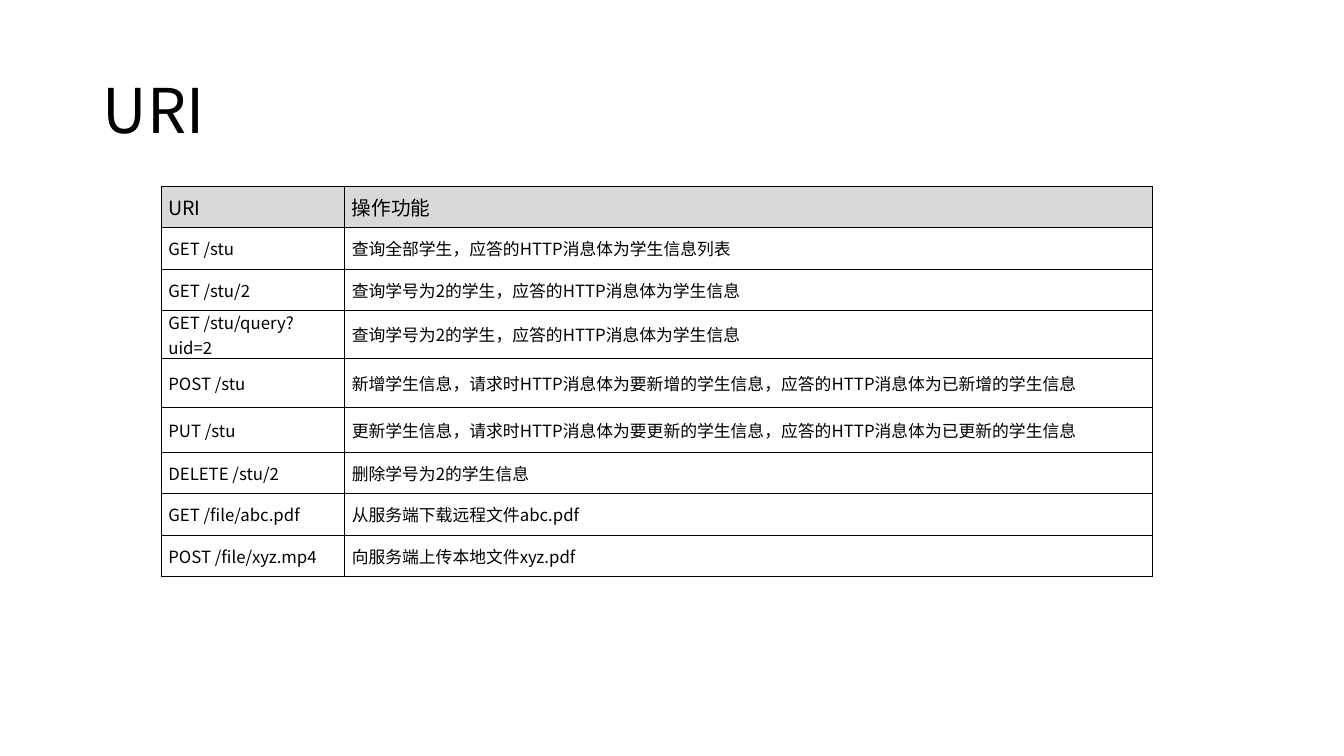
import pptx
import pptx.dml.color
import pptx.enum.text
import pptx.oxml
import pptx.oxml.ns
import pptx.util

Inches = pptx.util.Inches
FONT = "Noto Sans CJK SC"
BLACK = "000000"
HEADER_GRAY = "D9D9D9"
MIDDLE = pptx.enum.text.MSO_ANCHOR.MIDDLE
COLUMN_WIDTHS = [1.82, 8.01]
ROW_HEIGHTS = [0.41, 0.41, 0.41, 0.48, 0.48, 0.45, 0.41, 0.41, 0.41]
OPERATIONS = [
    ("URI", "操作功能"),
    ("GET /stu", "查询全部学生，应答的HTTP消息体为学生信息列表"),
    ("GET /stu/2", "查询学号为2的学生，应答的HTTP消息体为学生信息"),
    ("GET /stu/query?uid=2", "查询学号为2的学生，应答的HTTP消息体为学生信息"),
    ("POST /stu", "新增学生信息，请求时HTTP消息体为要新增的学生信息，应答的HTTP消息体为已新增的学生信息"),
    ("PUT /stu", "更新学生信息，请求时HTTP消息体为要更新的学生信息，应答的HTTP消息体为已更新的学生信息"),
    ("DELETE /stu/2", "删除学号为2的学生信息"),
    ("GET /file/abc.pdf", "从服务端下载远程文件abc.pdf"),
    ("POST /file/xyz.mp4", "向服务端上传本地文件xyz.pdf"),
]
CELL_FORMAT = {
    "margin_left": Inches(0.07),
    "margin_right": Inches(0.07),
    "margin_top": 0,
    "margin_bottom": 0,
    "vertical_anchor": MIDDLE,
}


def color(value):
    return pptx.dml.color.RGBColor.from_string(value)


def apply_format(target, values):
    for name, value in values.items():
        setattr(target, name, value)


def write_text(paragraph, wording, size):
    run = paragraph.add_run()
    run.text = wording
    apply_format(run.font, {"size": pptx.util.Pt(size), "name": FONT})
    run.font.color.rgb = color(BLACK)
    east_asian = pptx.oxml.parse_xml(
        f'<a:ea {pptx.oxml.ns.nsdecls("a")} typeface="{FONT}"/>')
    run.font._element.append(east_asian)


def add_borders(cell):
    properties = cell._tc.get_or_add_tcPr()
    for side in "LRTB":
        properties.append(pptx.oxml.parse_xml(
            f'<a:ln{side} {pptx.oxml.ns.nsdecls("a")} w="{pptx.util.Pt(1)}">'
            f'<a:solidFill><a:srgbClr val="{BLACK}"/></a:solidFill></a:ln{side}>'))


def add_title(slide, left, top, width, height):
    title = slide.shapes.add_textbox(
        Inches(left), Inches(top), Inches(width), Inches(height))
    apply_format(title.text_frame, {"word_wrap": True, "vertical_anchor": MIDDLE})
    heading = title.text_frame.paragraphs[0]
    heading.line_spacing = 0.9
    write_text(heading, "URI", 44)


def add_operations(slide, left, top, width, height):
    operations = slide.shapes.add_table(
        len(OPERATIONS), len(COLUMN_WIDTHS),
        Inches(left), Inches(top), Inches(width), Inches(height)).table
    apply_format(operations, {"first_row": False, "horz_banding": False})
    for column, share in zip(operations.columns, COLUMN_WIDTHS):
        column.width = Inches(width * share / sum(COLUMN_WIDTHS))
    for row, share in zip(operations.rows, ROW_HEIGHTS):
        row.height = Inches(height * share / sum(ROW_HEIGHTS))
    for row_index, operation in enumerate(OPERATIONS):
        is_header = row_index == 0
        for column_index, wording in enumerate(operation):
            cell = operations.cell(row_index, column_index)
            apply_format(cell, CELL_FORMAT)
            add_borders(cell)
            if is_header:
                cell.fill.solid()
                cell.fill.fore_color.rgb = color(HEADER_GRAY)
            else:
                cell.fill.background()
            write_text(cell.text_frame.paragraphs[0], wording, 14 if is_header else 12)


def main():
    presentation = pptx.Presentation()
    apply_format(presentation, {"slide_width": Inches(13.33), "slide_height": Inches(7.5)})
    slide = presentation.slides.add_slide(presentation.slide_layouts[6])
    add_title(slide, 0.92, 0.4, 11.5, 1.45)
    add_operations(slide, 1.6, 1.85, 9.83, 3.87)
    presentation.save("out.pptx")


if __name__ == "__main__":
    main()
